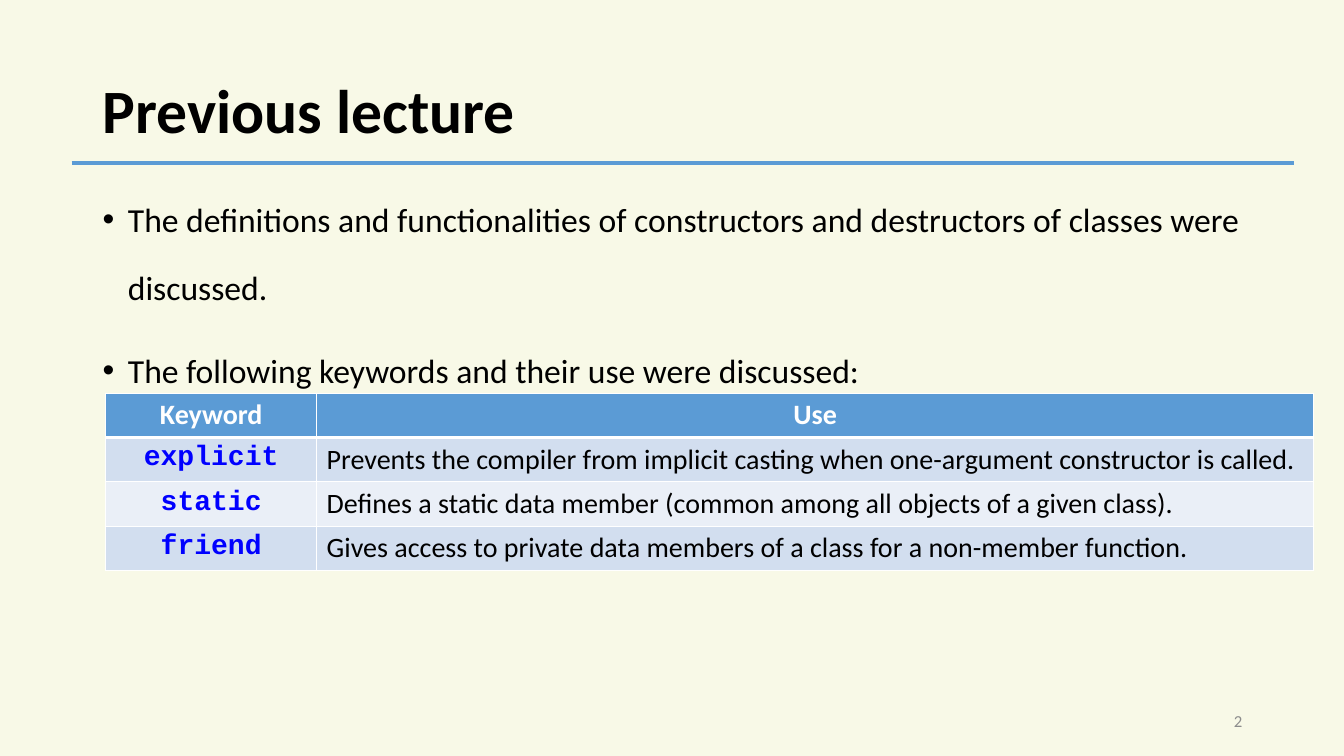
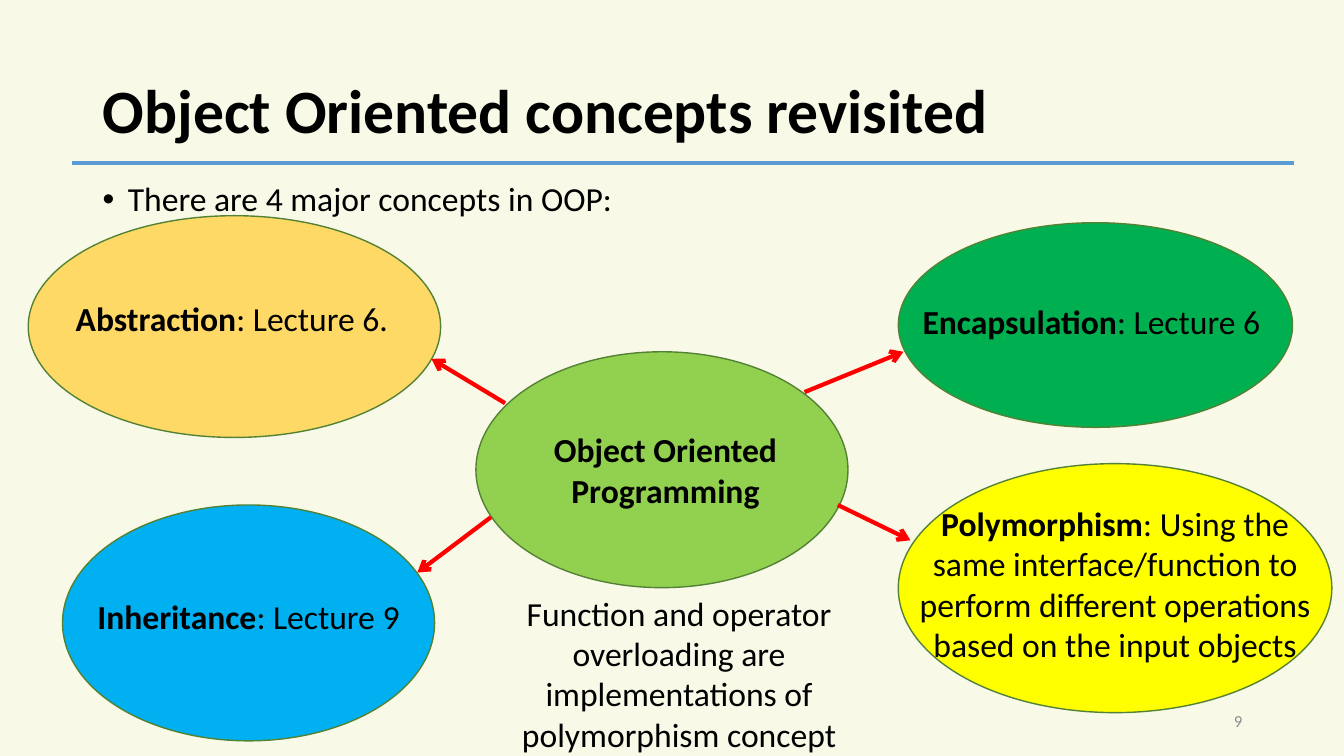
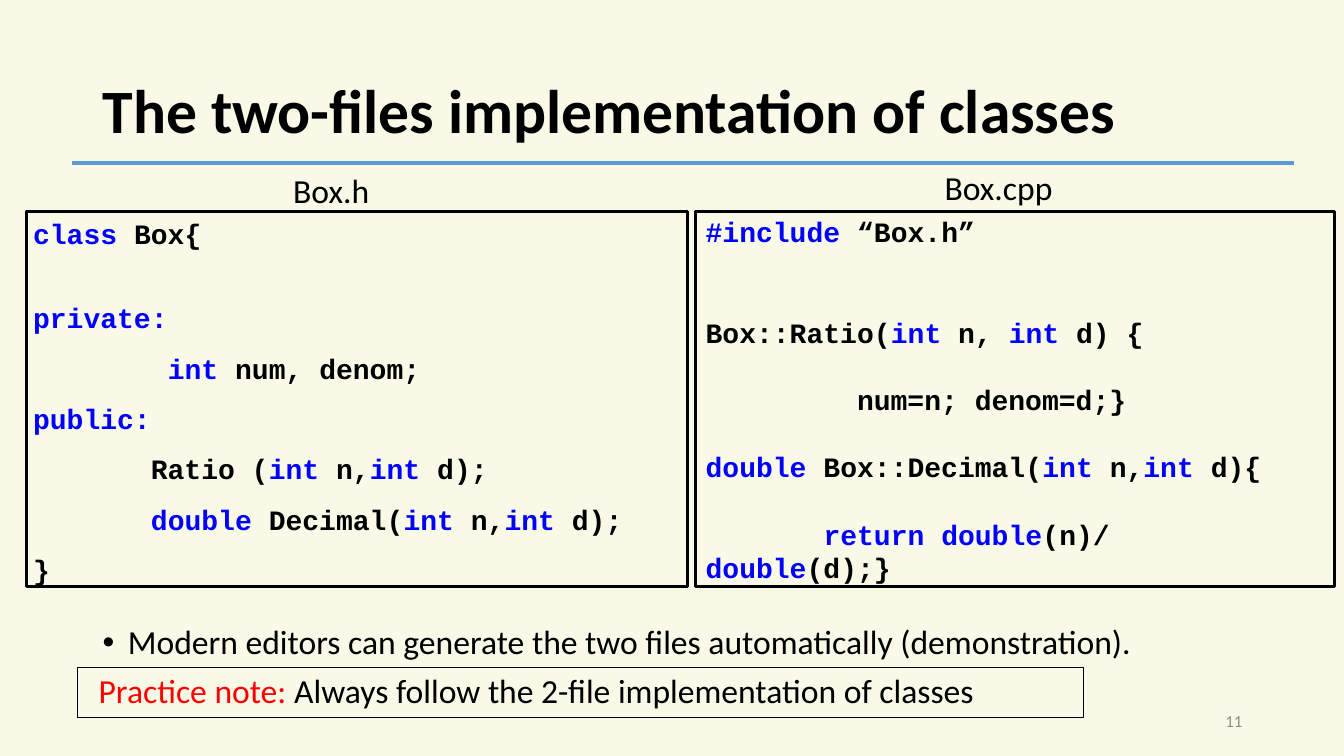
from dataclasses import dataclass

from lxml import etree
from pptx import Presentation
from pptx.dml.color import RGBColor
from pptx.enum.shapes import MSO_CONNECTOR, MSO_SHAPE
from pptx.enum.text import MSO_ANCHOR, PP_ALIGN
from pptx.oxml.ns import qn
from pptx.util import Inches, Pt

STRAIGHT = MSO_CONNECTOR.STRAIGHT
ELLIPSE, RECTANGLE = MSO_SHAPE.OVAL, MSO_SHAPE.RECTANGLE
TOP, MIDDLE = MSO_ANCHOR.TOP, MSO_ANCHOR.MIDDLE
LEFT, CENTER, RIGHT = PP_ALIGN.LEFT, PP_ALIGN.CENTER, PP_ALIGN.RIGHT


@dataclass(frozen=True)
class Theme:
    background: str = "F8F9E7"
    text: str = "000000"
    muted: str = "8C8C8C"
    white: str = "FFFFFF"
    rule: str = "5B9BD5"
    band_dark: str = "D2DEEF"
    band_light: str = "EAEFF7"
    keyword: str = "0000FF"
    alert: str = "FF0000"
    outline: str = "548235"
    center: str = "92D050"
    abstraction: str = "FFD966"
    encapsulation: str = "00B050"
    inheritance: str = "00B0F0"
    polymorphism: str = "FFFF00"
    body_font: str = "Calibri"
    code_font: str = "Courier New"
    title_size: int = 44
    body_size: int = 24
    code_size: int = 20
    number_size: int = 12


THEME = Theme()


def rgb(value):
    return RGBColor.from_string(value)


def inches(values):
    return [Inches(value) for value in values]


class Deck:
    def __init__(self, theme):
        self.theme = theme
        self.prs = Presentation()
        self.prs.slide_width, self.prs.slide_height = inches((13.33, 7.5))
        self.slide = None

    def new_slide(self, title, number):
        theme = self.theme
        self.slide = self.prs.slides.add_slide(self.prs.slide_layouts[6])
        fill = self.slide.background.fill
        fill.solid()
        fill.fore_color.rgb = rgb(theme.background)
        self.text((0.92, 0.4, 11.5, 1.45), [title], size=theme.title_size,
                  bold=True, spacing=0.9, anchor=MIDDLE)
        self.text((9.42, 6.95, 3, 0.4), [str(number)], size=theme.number_size,
                  color=theme.muted, align=RIGHT, anchor=MIDDLE)
        self.line((0.71, 1.62), (12.83, 1.62), theme.rule)

    def style(self, paragraph, size, color, font, bold, align):
        paragraph.alignment = align
        paragraph.font.size = Pt(size)
        paragraph.font.name = font
        paragraph.font.color.rgb = rgb(color)
        if bold:
            paragraph.font.bold = True

    def add_runs(self, paragraph, marked, accent, accent_bold):
        for index, piece in enumerate(marked.split("|")):
            if not piece:
                continue
            run = paragraph.add_run()
            run.text = piece
            if index % 2:
                if accent:
                    run.font.color.rgb = rgb(accent)
                if accent_bold:
                    run.font.bold = True

    def text(self, box, lines, size=THEME.body_size, color=THEME.text,
             font=THEME.body_font, bold=False, align=LEFT, anchor=TOP,
             spacing=1, before=0, bullet=False, accent=None, accent_bold=False):
        frame = self.slide.shapes.add_textbox(*inches(box)).text_frame
        frame.word_wrap = True
        frame.vertical_anchor = anchor
        for index, line in enumerate(lines):
            marked, line_spacing, gap = (
                (line, spacing, before) if isinstance(line, str) else line)
            paragraph = frame.add_paragraph() if index else frame.paragraphs[0]
            if line_spacing != 1:
                paragraph.line_spacing = line_spacing
            if index and gap:
                paragraph.space_before = Pt(gap)
            if bullet:
                self.add_bullet(paragraph)
            self.style(paragraph, size, color, font, bold, align)
            self.add_runs(paragraph, marked, accent, accent_bold)

    def add_bullet(self, paragraph):
        properties = paragraph._p.get_or_add_pPr()
        properties.set("marL", str(Inches(0.25)))
        properties.set("indent", str(-Inches(0.25)))
        etree.SubElement(properties, qn("a:buFont")).set("typeface", "Arial")
        etree.SubElement(properties, qn("a:buChar")).set("char", "•")

    def bullets(self, box, lines, spacing):
        self.text(box, lines, spacing=spacing, before=10, bullet=True)

    def label(self, box, words):
        self.text(box, [words], align=CENTER, accent_bold=True)

    def code(self, box, lines):
        self.text(box, lines, size=self.theme.code_size, font=self.theme.code_font,
                  bold=True, accent=self.theme.keyword)

    def shape(self, kind, box, fill=None, line=THEME.text, width=1.0):
        outline = self.slide.shapes.add_shape(kind, *inches(box))
        outline.shadow.inherit = False
        if fill:
            outline.fill.solid()
            outline.fill.fore_color.rgb = rgb(fill)
        else:
            outline.fill.background()
        outline.line.color.rgb = rgb(line)
        outline.line.width = Pt(width)

    def line(self, start, end, color, arrow=False):
        connector = self.slide.shapes.add_connector(
            STRAIGHT, *inches(start), *inches(end))
        connector.line.color.rgb = rgb(color)
        connector.line.width = Pt(3)
        if arrow:
            stroke = connector.line._get_or_add_ln()
            etree.SubElement(stroke, qn("a:tailEnd")).set("type", "arrow")
        etree.SubElement(connector._element.spPr, qn("a:effectLst"))

    def cell_borders(self, cell, widths):
        properties = cell._tc.get_or_add_tcPr()
        for index, (side, width) in enumerate(zip("LRTB", widths)):
            border = etree.Element(qn(f"a:ln{side}"), w=str(Pt(width)))
            solid = etree.SubElement(border, qn("a:solidFill"))
            etree.SubElement(solid, qn("a:srgbClr")).set("val", self.theme.white)
            properties.insert(index, border)

    def keyword_table(self, box, column_widths, rows):
        theme = self.theme
        table = self.slide.shapes.add_table(
            len(rows), len(column_widths), *inches(box)).table
        for column, width in zip(table.columns, column_widths):
            column.width = Inches(width)
        for r, row in enumerate(rows):
            header = r == 0
            band = theme.rule if header else (theme.band_light, theme.band_dark)[r % 2]
            for c, words in enumerate(row):
                cell = table.cell(r, c)
                cell.fill.solid()
                cell.fill.fore_color.rgb = rgb(band)
                self.cell_borders(cell, (1, 1, 3 if r == 1 else 1, 3 if header else 1))
                keyword = c == 0 and not header
                color = (theme.white if header else
                         theme.keyword if keyword else theme.text)
                paragraph = cell.text_frame.paragraphs[0]
                self.style(paragraph, theme.code_size, color,
                           theme.code_font if keyword else theme.body_font,
                           header or keyword, CENTER if header or keyword else LEFT)
                self.add_runs(paragraph, words, None, False)


def previous_lecture(deck):
    deck.new_slide("Previous lecture", 2)
    deck.bullets((0.92, 1.64, 12.11, 2.3), [
        "The definitions and functionalities of constructors and destructors "
        "of classes were discussed.",
        "The following keywords and their use were discussed:",
    ], spacing=1.7)
    deck.keyword_table((1.05, 3.9, 11.98, 1.76), (2.09, 9.89), [
        ("Keyword", "Use"),
        ("explicit", "Prevents the compiler from implicit casting when "
                     "one-argument constructor is called."),
        ("static", "Defines a static data member (common among all objects "
                   "of a given class)."),
        ("friend", "Gives access to private data members of a class for a "
                   "non-member function."),
    ])


def concepts_revisited(deck):
    theme = deck.theme
    deck.new_slide("Object Oriented concepts revisited", 9)
    deck.bullets((0.92, 1.64, 11.5, 0.6), ["There are 4 major concepts in OOP:"],
                 spacing=1.2)
    concepts = [
        ((4.72, 3.49, 3.69, 2.34), theme.center,
         (5.06, 4.21, 3.08, 0.91), "|Object Oriented Programming|"),
        ((0.28, 2.14, 4.09, 2.2), theme.abstraction,
         (0, 2.91, 4.6, 0.5), "|Abstraction|: Lecture 6."),
        ((0.62, 5.01, 3.69, 2.34), theme.inheritance,
         (0.77, 5.86, 3.39, 0.5), "|Inheritance|: Lecture 9"),
        ((8.91, 4.6, 4.3, 2.47), theme.polymorphism,
         (8.91, 4.94, 4.3, 1.72),
         "|Polymorphism|: Using the same interface/function to perform "
         "different operations based on the input objects"),
        ((8.91, 2.21, 3.91, 2.03), theme.encapsulation,
         (8.71, 2.94, 4.23, 0.5), "|Encapsulation|: Lecture 6"),
    ]
    for oval, fill, label_box, words in concepts:
        deck.shape(ELLIPSE, oval, fill, theme.outline)
        deck.label(label_box, words)
    for start, end in [((5.01, 4), (4.28, 3.56)), ((4.87, 5.13), (4.14, 5.68)),
                       ((7.98, 3.89), (8.96, 3.49)), ((8.31, 5.01), (9.03, 5.36))]:
        deck.line(start, end, theme.alert, arrow=True)
    deck.label((4.46, 5.83, 4.55, 1.65),
               "Function and operator overloading are implementations of "
               "polymorphism concept")


def two_files(deck):
    blank_line = 24
    deck.new_slide("The two-files implementation of classes", 11)
    deck.bullets((0.92, 6.16, 11.5, 0.5), [
        "Modern editors can generate the two files automatically (demonstration).",
    ], spacing=0.9)
    deck.code((0.23, 2.1, 6.83, 3.8), [
        "|class |Box{",
        ("|private:|", 1.5, blank_line),
        ("        |int |num, denom;", 1.5, 0),
        ("|public:|", 1.5, 0),
        ("       Ratio (|int |n,|int| d);", 1.5, 0),
        ("       |double| Decimal(|int |n,|int| d);", 1.5, 0),
        ("}", 1.5, 0),
    ])
    deck.code((6.9, 2.08, 6.15, 3.47), [
        "|#include |“Box.h”",
        ("Box::Ratio(|int| n, |int| d) {", 1, 2 * blank_line),
        ("         num=n; denom=d;}", 1, blank_line),
        ("|double| Box::Decimal(|int |n,|int| d){", 1, blank_line),
        ("       |return double|(n)/| double|(d);}", 1, blank_line),
    ])
    for frame in [(0.26, 2.1, 6.56, 3.72), (6.9, 2.1, 6.34, 3.72)]:
        deck.shape(RECTANGLE, frame, width=2.25)
    deck.text((2.81, 1.64, 1.3, 0.5), ["Box.h"])
    deck.text((9.27, 1.61, 1.3, 0.5), ["Box.cpp"])
    deck.shape(RECTANGLE, (0.77, 6.62, 9.98, 0.5), width=0.75)
    deck.text((0.88, 6.6, 9.99, 0.5), [
        "|Practice note: |Always follow the 2-file implementation of classes",
    ], accent=deck.theme.alert)


def main():
    deck = Deck(THEME)
    previous_lecture(deck)
    concepts_revisited(deck)
    two_files(deck)
    deck.prs.save("out.pptx")


if __name__ == "__main__":
    main()
